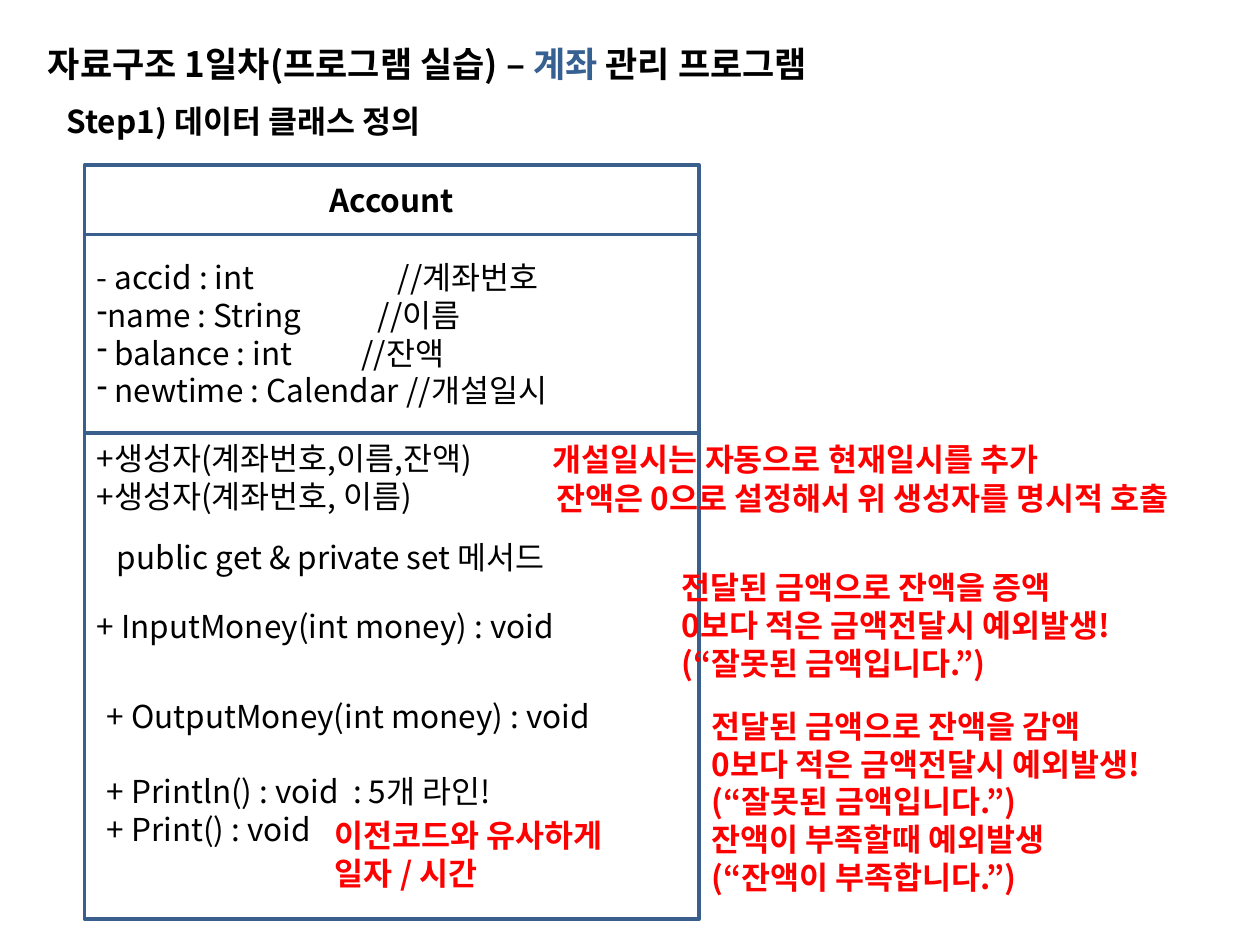
from lxml.etree import SubElement
from pptx import Presentation
from pptx.dml.color import RGBColor
from pptx.enum.shapes import MSO_SHAPE as Shape
from pptx.enum.text import MSO_ANCHOR as Anchor, MSO_AUTO_SIZE as AutoSize, PP_ALIGN as Align
from pptx.oxml.ns import qn
from pptx.util import Inches, Pt

BLACK = RGBColor(0x00, 0x00, 0x00)
WHITE = RGBColor(0xFF, 0xFF, 0xFF)
RED = RGBColor(0xFF, 0x00, 0x00)
ACCENT = RGBColor(0x37, 0x60, 0x92)
BORDER = RGBColor(0x3A, 0x5F, 0x8C)
FONT = "Noto Sans CJK KR"
COLUMNS, ROWS = 100, 75


def add_run(paragraph, text, size=18, color=BLACK, bold=False):
    run = paragraph.add_run()
    run.text = text
    run.font.size = Pt(size)
    run.font.bold = bold
    run.font.name = FONT
    run.font.color.rgb = color
    SubElement(run.font._element, qn("a:ea"), typeface=FONT)


def write(frame, lines, align=Align.LEFT, anchor=Anchor.TOP, **style):
    frame.word_wrap = True
    frame.auto_size = AutoSize.NONE
    frame.vertical_anchor = anchor
    for index, line in enumerate(lines):
        paragraph = frame.add_paragraph() if index else frame.paragraphs[0]
        paragraph.alignment = align
        for text, color in [(line, None)] if isinstance(line, str) else line:
            add_run(paragraph, text, **(style | ({"color": color} if color else {})))


def set_tab(paragraph, inches):
    tabs = SubElement(paragraph._p.get_or_add_pPr(), qn("a:tabLst"))
    SubElement(tabs, qn("a:tab"), pos=str(Inches(inches)), algn="l")


def set_dash(paragraph):
    properties = paragraph._p.get_or_add_pPr()
    properties.set("marL", "0")
    properties.set("indent", "0")
    SubElement(properties, qn("a:buFontTx"))
    SubElement(properties, qn("a:buChar"), char="-")


class ClassSlide:
    def __init__(self, deck):
        self.column = deck.slide_width / COLUMNS
        self.row = deck.slide_height / ROWS
        self.slide = deck.slides.add_slide(deck.slide_layouts[5])

    def place(self, left, top, width, height):
        return [round(left * self.column), round(top * self.row),
                round(width * self.column), round(height * self.row)]

    def title(self, area, line):
        heading = self.slide.shapes.title
        heading.left, heading.top, heading.width, heading.height = self.place(*area)
        write(heading.text_frame, [line], size=20, bold=True)

    def compartment(self, area, lines, **style):
        box = self.slide.shapes.add_shape(Shape.RECTANGLE, *self.place(*area))
        box.shadow.inherit = False
        box.fill.solid()
        box.fill.fore_color.rgb = WHITE
        box.line.color.rgb = BORDER
        box.line.width = Pt(2)
        write(box.text_frame, lines, **style)
        return box.text_frame.paragraphs

    def text(self, area, lines, **style):
        box = self.slide.shapes.add_textbox(*self.place(*area))
        write(box.text_frame, lines, **style)
        return box.text_frame.paragraphs

    def remark(self, area, lines):
        self.text(area, lines, color=RED, bold=True)


deck = Presentation()
deck.slide_width, deck.slide_height = Inches(10), Inches(7.5)
page = ClassSlide(deck)

page.title((2.8, 2.9, 86.6, 4.4), [
    ("자료구조 1일차(프로그램 실습) – ", BLACK), ("계좌", ACCENT), (" 관리 프로그램", BLACK)])

compartments = [
    (5.5, ["Account"], {"align": Align.CENTER, "anchor": Anchor.MIDDLE, "bold": True}),
    (15.75, ["- accid : int\t//계좌번호", "name : String\t//이름", " balance : int\t//잔액",
             " newtime : Calendar //개설일시"], {"anchor": Anchor.MIDDLE}),
    (38.6, ["+생성자(계좌번호,이름,잔액)", "+생성자(계좌번호, 이름)"], {}),
]
top = 13.1
sections = []
for height, lines, style in compartments:
    sections.append(page.compartment((6.7, top, 48.8, height), lines, **style))
    top += height

fields = sections[1]
for field in fields[1:]:
    set_dash(field)
for field, stop in zip(fields, (2.39, 2.23, 2.1)):
    set_tab(field, stop)

page.text((4.3, 7.6, 32.5, 4), ["Step1) 데이터 클래스 정의"], bold=True)
page.remark((42.9, 34.4, 45.1, 4), ["개설일시는 자동으로 현재일시를 추가"])
page.remark((43.2, 37.5, 56.8, 4), ["잔액은 0으로 설정해서 위 생성자를 명시적 호출"])
page.text((8.3, 42.2, 40.1, 4), ["public get & private set 메서드"])
page.text((6.7, 47.7, 38.9, 4), ["+ InputMoney(int money) : void"])

amount_rule = ["0보다 적은 금액전달시 예외발생!", "(“잘못된 금액입니다.”)"]
page.remark((53.1, 44.6, 39.8, 10.1), ["전달된 금액으로 잔액을 증액", *amount_rule])
methods = page.text((7.5, 54.8, 41, 13.1), [
    "+ OutputMoney(int money) : void", "+ Println() : void  : 5개 라인!", "+ Print() : void"])
methods[1].space_before = Pt(21.6)
page.remark((55.5, 55.6, 39.8, 16.2), [
    "전달된 금액으로 잔액을 감액", *amount_rule, "잔액이 부족할때 예외발생", "(“잔액이 부족합니다.”)"])
page.remark((25.6, 64.3, 25.6, 7.1), ["이전코드와 유사하게", "일자 / 시간"])

deck.save("out.pptx")
